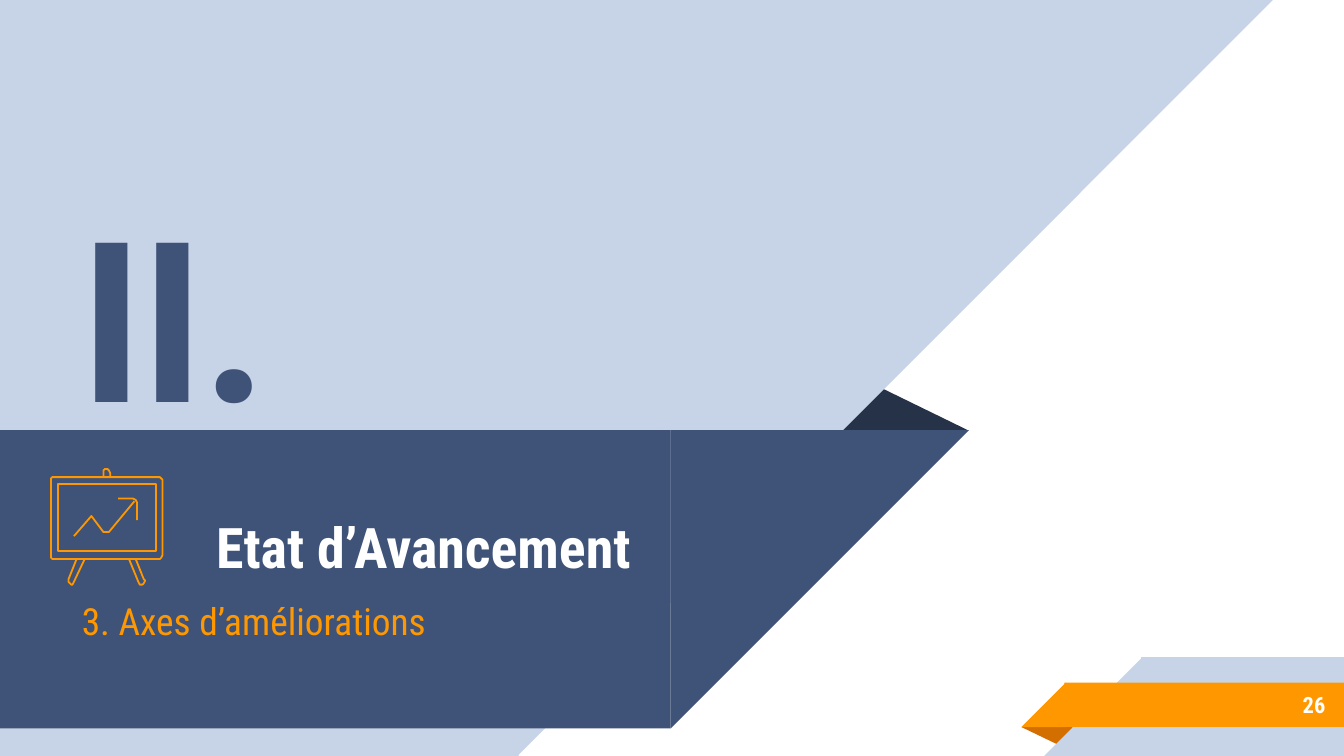
import pptx
import pptx.util
import pptx.dml.color
import pptx.enum.shapes
import pptx.enum.text
import pptx.oxml.ns
import lxml.etree

Inches, Pt = pptx.util.Inches, pptx.util.Pt
RGB = pptx.dml.color.RGBColor
SHAPE = pptx.enum.shapes.MSO_SHAPE
ALIGN = pptx.enum.text.PP_ALIGN
ANCHOR = pptx.enum.text.MSO_ANCHOR
qn = pptx.oxml.ns.qn

WIDTH = 10
HEIGHT = WIDTH * 9 / 16
COLORS = {"pale": "C7D3E6", "navy": "3F5378", "night": "263248",
          "orange": "FF9800", "rust": "D26F00", "white": "FFFFFF"}
FONT = "Roboto Condensed"
INSET = 0.1
TAB = 1
ICON_LINE = 0.96

KINDS = {"rect": SHAPE.RECTANGLE, "corner": SHAPE.RIGHT_TRIANGLE,
         "fold": SHAPE.ISOSCELES_TRIANGLE}
FOLD_APEX = 0.324

# Background, back to front: kind, box, colour, rotation, flipped
BANDS = [
    ("fold", (6.23, 2.88, 0.97, 0.32), "night", 0, False),
    ("rect", (0, 0, 3.86, HEIGHT), "pale", 0, False),
    ("corner", (3.85, 0, 5.62, HEIGHT), "pale", 180, True),
    ("rect", (0, 3.2, 4.99, 2.22), "navy", 180, True),
    ("corner", (4.99, 3.2, 2.22, 2.22), "navy", 180, True),
    ("fold", (7.6, 5.41, 0.43, 0.14), "rust", 180, False),
    ("rect", (8.49, 4.89, 1.51, HEIGHT - 4.89), "pale", 0, True),
    ("corner", (7.77, 4.89, 0.73, HEIGHT - 4.89), "pale", 0, True),
    ("rect", (7.92, 5.08, 2.08, 0.33), "orange", 0, True),
    ("corner", (7.6, 5.08, 0.33, 0.33), "orange", 0, True),
]

# Text: wording, box, size, colour, bold, anchor, alignment, space after
TEXTS = [
    ("\tEtat d’Avancement", (0.51, 3.14, 5.2, 1.27), 30, "white", True,
     ANCHOR.BOTTOM, ALIGN.LEFT, 0),
    ("3. Axes d’améliorations", (0.51, 4.35, 4.48, 0.86), 20, "orange", False,
     ANCHOR.TOP, ALIGN.LEFT, 10),
    ("26", (8.33, 5.07, 1.63, 0.35), 12, "white", True,
     ANCHOR.MIDDLE, ALIGN.RIGHT, 0),
    ("II.", (0.51, 0, 2.39, 3.43), 120, "navy", True,
     ANCHOR.BOTTOM, ALIGN.LEFT, 0),
]

# Easel icon: outline points in inches, closed or open
EASEL = [
    # Board
    ([(1.18, 3.55), (0.4, 3.55), (0.39, 3.55), (0.38, 3.56),
      (0.38, 3.57), (0.38, 4.13), (0.38, 4.15), (0.39, 4.16),
      (0.4, 4.16), (1.18, 4.16), (1.19, 4.16), (1.2, 4.15),
      (1.21, 4.13), (1.21, 3.57), (1.2, 3.56), (1.19, 3.55)], True),
    # Hook
    ([(0.82, 3.55), (0.82, 3.52), (0.81, 3.5), (0.8, 3.49), (0.79, 3.49),
      (0.78, 3.49), (0.77, 3.5), (0.77, 3.52), (0.77, 3.55)], False),
    # Left leg
    ([(0.57, 4.16), (0.51, 4.31), (0.51, 4.33), (0.52, 4.34),
      (0.53, 4.35), (0.54, 4.35), (0.55, 4.33), (0.63, 4.16)], False),
    # Right leg
    ([(0.96, 4.16), (1.03, 4.33), (1.04, 4.35), (1.06, 4.35),
      (1.07, 4.34), (1.08, 4.32), (1.07, 4.31), (1.01, 4.16)], False),
    # Sheet
    ([(0.43, 3.6), (0.43, 4.1), (1.16, 4.1), (1.16, 3.6)], True),
    # Trend line
    ([(1, 3.73), (0.81, 3.96), (0.79, 3.96), (0.78, 3.96),
      (0.77, 3.96), (0.68, 3.84), (0.55, 3.99)], False),
    # Arrow tip
    ([(0.88, 3.71), (0.99, 3.71), (1.01, 3.72), (1.02, 3.74),
      (1.02, 3.87)], False),
]


def color(name):
    return RGB.from_string(COLORS[name])


def add_band(shapes, kind, box, fill, rotation, flipped):
    s = shapes.add_shape(KINDS[kind], *map(Inches, box))
    s.shadow.inherit = False
    s.fill.solid()
    s.fill.fore_color.rgb = color(fill)
    s.line.fill.background()
    s.rotation = rotation
    if kind == "fold":
        s.adjustments[0] = FOLD_APEX
    if flipped:
        s._element.spPr.xfrm.set("flipH", "1")


def add_tab_stop(p):
    stops = lxml.etree.SubElement(p._p.get_or_add_pPr(), qn("a:tabLst"))
    lxml.etree.SubElement(stops, qn("a:tab"), pos=str(Inches(TAB)), algn="l")


def add_text(shapes, text, box, size, fill, bold, anchor, align, after):
    tf = shapes.add_textbox(*map(Inches, box)).text_frame
    frame = {"word_wrap": True, "vertical_anchor": anchor}
    frame.update({f"margin_{side}": Inches(INSET)
                  for side in ("left", "top", "right", "bottom")})
    p = tf.paragraphs[0]
    r = p.add_run()
    r.text = text
    font = {"name": FONT, "size": Pt(size), "bold": bold}
    para = {"alignment": align, "space_after": Pt(after)}
    for target, values in ((tf, frame), (p, para), (r.font, font)):
        for key, value in values.items():
            setattr(target, key, value)
    r.font.color.rgb = color(fill)
    if "\t" in text:
        add_tab_stop(p)


def add_outline(shapes, points, closed):
    start, *rest = [(Inches(x), Inches(y)) for x, y in points]
    builder = shapes.build_freeform(*start)
    builder.add_line_segments(rest, close=closed)
    s = builder.convert_to_shape()
    s.shadow.inherit = False
    s.fill.background()
    s.line.color.rgb = color("orange")
    s.line.width = Pt(ICON_LINE)


def main():
    prs = pptx.Presentation()
    prs.slide_width, prs.slide_height = Inches(WIDTH), Inches(HEIGHT)
    shapes = prs.slides.add_slide(prs.slide_layouts[6]).shapes
    for band in BANDS:
        add_band(shapes, *band)
    for text in TEXTS:
        add_text(shapes, *text)
    for outline in EASEL:
        add_outline(shapes, *outline)
    prs.save("out.pptx")


if __name__ == "__main__":
    main()
